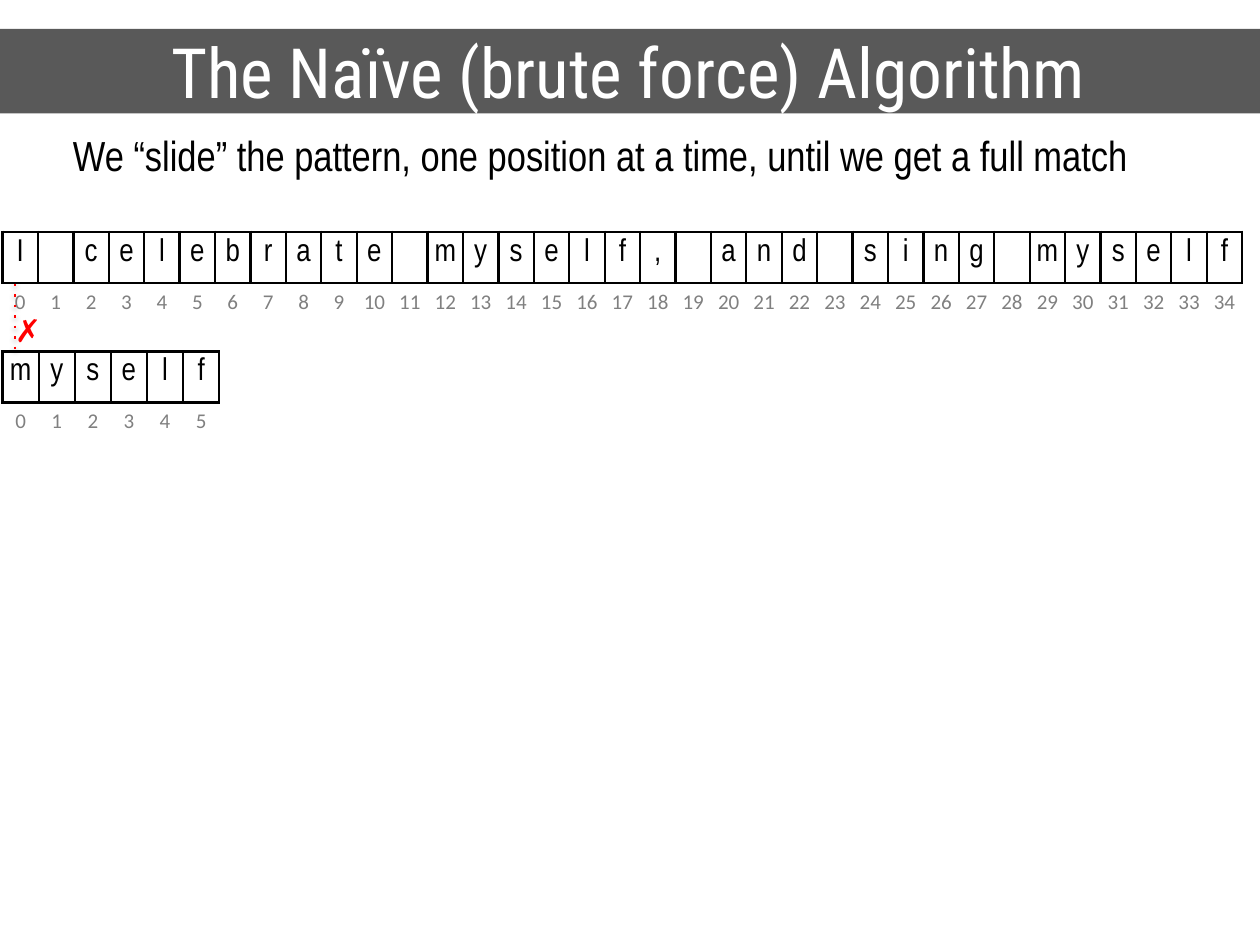
from lxml import etree
from pptx import Presentation
from pptx.dml.color import RGBColor
from pptx.enum.dml import MSO_LINE
from pptx.enum.shapes import MSO_CONNECTOR
from pptx.enum.text import MSO_ANCHOR, MSO_AUTO_SIZE, PP_ALIGN
from pptx.oxml import parse_xml
from pptx.oxml.ns import nsdecls, qn
from pptx.util import Inches, Pt

CENTER, LEFT = PP_ALIGN.CENTER, PP_ALIGN.LEFT
MIDDLE = MSO_ANCHOR.MIDDLE
NO_FIT, GROW = MSO_AUTO_SIZE.NONE, MSO_AUTO_SIZE.SHAPE_TO_FIT_TEXT
STRAIGHT = MSO_CONNECTOR.STRAIGHT
DOTTED = MSO_LINE.ROUND_DOT

COLORS = {
    "band": "595959",
    "white": "FFFFFF",
    "ink": "000000",
    "index": "808080",
    "mismatch": "FF0000",
}
BODY_FONT = "Arial Narrow"
ROW_HEIGHT = 0.405
TEXT = "I celebrate myself, and sing myself"
PATTERN = "myself"


def rgb(name):
    return RGBColor.from_string(COLORS[name])


def write(frame, text, size=18, font=BODY_FONT, color="ink", align=LEFT):
    para = frame.paragraphs[0]
    para.alignment = align
    para.font.size = Pt(size)
    span = para.add_run()
    span.text = text
    span.font.size = Pt(size)
    span.font.name = font
    span.font.color.rgb = rgb(color)


def add_title(page, text):
    title = page.shapes.title
    title.left, title.top = Inches(-0.02), Inches(0.23)
    title.width, title.height = Inches(10.02), Inches(0.67)
    title.fill.solid()
    title.fill.fore_color.rgb = rgb("band")
    frame = title.text_frame
    frame.auto_size = NO_FIT
    frame.vertical_anchor = MIDDLE
    write(frame, text, size=39.6, font="Roboto Condensed", color="white", align=CENTER)


def add_text(page, text, left, top, width, height, **style):
    box = page.shapes.add_textbox(Inches(left), Inches(top), Inches(width), Inches(height))
    frame = box.text_frame
    frame.word_wrap = False
    frame.auto_size = GROW
    write(frame, text, **style)


def set_borders(cell, drawn):
    """Rule the sides named in drawn (of L, R, T, B) and clear the others."""
    properties = cell._tc.get_or_add_tcPr()
    for side in "LRTB":
        line = etree.SubElement(properties, qn(f"a:ln{side}"), w=str(Pt(1.5)))
        if side in drawn:
            fill = etree.SubElement(line, qn("a:solidFill"))
            etree.SubElement(fill, qn("a:srgbClr"), val=COLORS["ink"])
        else:
            etree.SubElement(line, qn("a:noFill"))


def fill_cell(cell, text, borders, **style):
    cell.margin_left = cell.margin_right = Inches(0.04)
    cell.margin_top = cell.margin_bottom = Inches(0.05)
    set_borders(cell, borders)
    cell.fill.background()
    write(cell.text_frame, text, align=CENTER, **style)


def add_string(page, string, left, top, width):
    """Draw a string as boxed characters above their indexes."""
    count = len(string)
    frame = page.shapes.add_table(
        2, count, Inches(left), Inches(top), Inches(width), Inches(2 * ROW_HEIGHT)
    )
    table = frame.table
    table.first_row = table.horz_banding = False
    for row in table.rows:
        row.height = Inches(ROW_HEIGHT)
    for index, character in enumerate(string):
        table.columns[index].width = Inches(width / count)
        fill_cell(table.cell(0, index), character.strip(), "LRTB")
        fill_cell(table.cell(1, index), str(index), "T", size=12, font="Calibri", color="index")


def add_comparison(page, x, top, bottom):
    line = page.shapes.add_connector(STRAIGHT, Inches(x), Inches(top), Inches(x), Inches(bottom))
    line.line.color.rgb = rgb("mismatch")
    line.line.width = Pt(1.5)
    line.line.dash_style = DOTTED
    properties = line._element.spPr
    properties.find(".//" + qn("a:prstDash")).set("val", "dot")
    properties.append(parse_xml(
        f'<a:effectLst {nsdecls("a")}>'
        f'<a:outerShdw blurRad="{Pt(3.1)}" dist="{Pt(1.6)}" dir="5400000" rotWithShape="0">'
        f'<a:srgbClr val="{COLORS["ink"]}"><a:alpha val="38000"/></a:srgbClr>'
        '</a:outerShdw></a:effectLst>'
    ))


def main():
    deck = Presentation()
    deck.slide_width, deck.slide_height = Inches(10), Inches(7.5)
    page = deck.slides.add_slide(deck.slide_layouts[5])
    add_title(page, "The Naïve (brute force) Algorithm")
    add_string(page, TEXT, 0.02, 1.84, 9.84)
    add_string(page, PATTERN, 0.02, 2.79, 1.72)
    add_text(
        page, "We “slide” the pattern, one position at a time, until we get a full match",
        0.48, 0.98, 8.65, 0.5, size=24,
    )
    add_text(page, "✗", 0.02, 2.42, 0.37, 0.4, font="Arial", color="mismatch")
    add_comparison(page, 0.12, 2.25, 2.79)
    deck.save("out.pptx")


if __name__ == "__main__":
    main()
